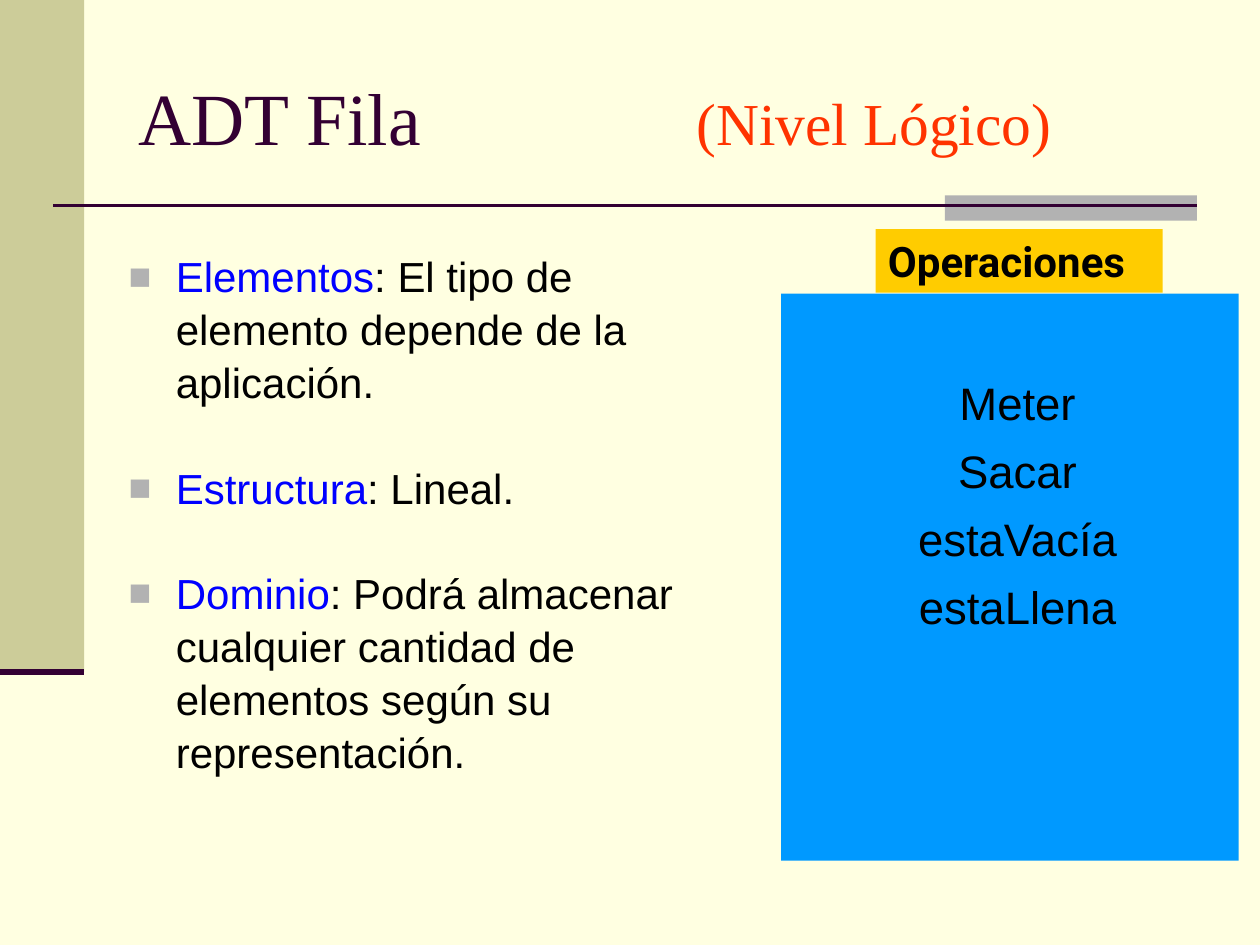
from dataclasses import dataclass

from lxml import etree
from pptx import Presentation
from pptx.dml.color import RGBColor
from pptx.enum.shapes import MSO_CONNECTOR, MSO_SHAPE
from pptx.enum.text import MSO_ANCHOR, MSO_AUTO_SIZE, PP_ALIGN
from pptx.oxml.ns import qn
from pptx.util import Cm, Pt

RECT = MSO_SHAPE.RECTANGLE
LINE = MSO_CONNECTOR.STRAIGHT
LEFT, CENTER = PP_ALIGN.LEFT, PP_ALIGN.CENTER
TOP, MIDDLE = MSO_ANCHOR.TOP, MSO_ANCHOR.MIDDLE
NO_FIT = MSO_AUTO_SIZE.NONE

HUES = {
    "page": "FFFFE1", "strip": "CCCC99", "gray": "B2B2B2", "plum": "330033",
    "red": "FF3300", "blue": "0000FF", "black": "000000",
    "sky": "0099FF", "gold": "FFCC00",
}


@dataclass
class Box:
    left: float
    top: float
    width: float
    height: float
    hue: str


@dataclass
class Rule:
    left: float
    right: float
    top: float
    weight: float


@dataclass
class Item:
    term: str
    rest: str


# Content
BARS = [Box(0, 0, 1.7, 13.55, "strip"), Box(19.05, 3.94, 5.08, 0.51, "gray")]
RULES = [Rule(1.07, 24.13, 4.14, 1.5), Rule(0, 1.7, 13.55, 3.5)]
PANEL = Box(15.75, 5.92, 9.22, 11.43, "sky")
LABEL = Box(17.65, 4.62, 5.79, 1.28, "gold")
ITEMS = [
    Item("Elementos", ": El tipo de elemento depende de la aplicación."),
    Item("Estructura", ": Lineal."),
    Item("Dominio", ": Podrá almacenar cualquier cantidad de elementos "
                    "según su representación."),
]
CALLS = ["Meter", "Sacar", "estaVacía", "estaLlena"]


def tint(name: str) -> RGBColor:
    return RGBColor.from_string(HUES[name])


def style(font, face: str, size: float, hue: str, bold: bool = False) -> None:
    font.name, font.size, font.bold = face, Pt(size), bold
    font.color.rgb = tint(hue)


def place(shape, left: float, top: float, width: float, height: float) -> None:
    shape.left, shape.top = Cm(left), Cm(top)
    shape.width, shape.height = Cm(width), Cm(height)


def add_run(para, text: str, hue: str):
    run = para.add_run()
    run.text = text
    run.font.color.rgb = tint(hue)
    return run


def add_box(slide, box: Box):
    shape = slide.shapes.add_shape(
        RECT, Cm(box.left), Cm(box.top), Cm(box.width), Cm(box.height))
    shape.shadow.inherit = False
    shape.fill.solid()
    shape.fill.fore_color.rgb = tint(box.hue)
    shape.line.fill.background()
    return shape


def add_rule(slide, rule: Rule) -> None:
    line = slide.shapes.add_connector(
        LINE, Cm(rule.left), Cm(rule.top), Cm(rule.right), Cm(rule.top))
    line.line.color.rgb = tint("plum")
    line.line.width = Pt(rule.weight)
    etree.SubElement(line._element.spPr, qn("a:effectLst"))


def add_tab(para, pos: float) -> None:
    tabs = etree.SubElement(para._p.get_or_add_pPr(), qn("a:tabLst"))
    etree.SubElement(tabs, qn("a:tab"), pos=str(Cm(pos)), algn="l")


def add_bullet(para) -> None:
    props = para._p.get_or_add_pPr()
    props.set("marL", str(Cm(0.95)))
    props.set("indent", str(Cm(-0.95)))
    shade = etree.SubElement(props, qn("a:buClr"))
    etree.SubElement(shade, qn("a:srgbClr"), val=HUES["gray"])
    etree.SubElement(props, qn("a:buSzPct"), val="90000")
    etree.SubElement(props, qn("a:buFont"), typeface="Arial")
    etree.SubElement(props, qn("a:buChar"), char="■")


def fill_title(title) -> None:
    place(title, 2.54, 0.76, 21.59, 3.18)
    frame = title.text_frame
    frame.auto_size, frame.vertical_anchor = NO_FIT, MIDDLE
    para = frame.paragraphs[0]
    add_tab(para, 11.25)
    para.alignment = LEFT
    style(para.font, "Times New Roman", 42, "plum")
    add_run(para, "ADT Fila\t", "plum")
    add_run(para, "(Nivel Lógico)", "red").font.size = Pt(34)


def fill_list(body) -> None:
    place(body, 2.34, 4.88, 13.13, 13.13)
    frame = body.text_frame
    frame.auto_size = NO_FIT
    for i, item in enumerate(ITEMS):
        para = frame.add_paragraph() if i else frame.paragraphs[0]
        add_bullet(para)
        para.line_spacing = 1.05
        para.space_before = Pt(30 if i else 0)
        style(para.font, "Arial", 24, "black")
        add_run(para, item.term, "blue")
        add_run(para, item.rest, "black")


def fill_panel(frame) -> None:
    frame.vertical_anchor = TOP
    frame.margin_top, frame.margin_left = Cm(1.65), Cm(0.56)
    for i, call in enumerate(CALLS):
        para = frame.add_paragraph() if i else frame.paragraphs[0]
        para.text = call
        para.alignment = CENTER
        para.space_before = Pt(7.5 if i else 0)
        style(para.font, "Arial", 26, "black")
        para.runs[0].font.color.rgb = tint("black")


def fill_label(frame) -> None:
    frame.vertical_anchor = MIDDLE
    para = frame.paragraphs[0]
    para.alignment = LEFT
    style(para.font, "Roboto", 24, "black", bold=True)
    add_run(para, "Operaciones", "black")


def main() -> None:
    deck = Presentation()
    deck.slide_width, deck.slide_height = Cm(25.4), Cm(19.05)
    slide = deck.slides.add_slide(deck.slide_layouts[1])
    slide.background.fill.solid()
    slide.background.fill.fore_color.rgb = tint("page")

    # Side strip, accent bar and rules
    for bar in BARS:
        add_box(slide, bar)
    for rule in RULES:
        add_rule(slide, rule)

    # Title and list
    fill_title(slide.shapes.title)
    fill_list(slide.placeholders[1])

    # Panel of operations
    fill_panel(add_box(slide, PANEL).text_frame)
    fill_label(add_box(slide, LABEL).text_frame)

    deck.save("out.pptx")


if __name__ == "__main__":
    main()
